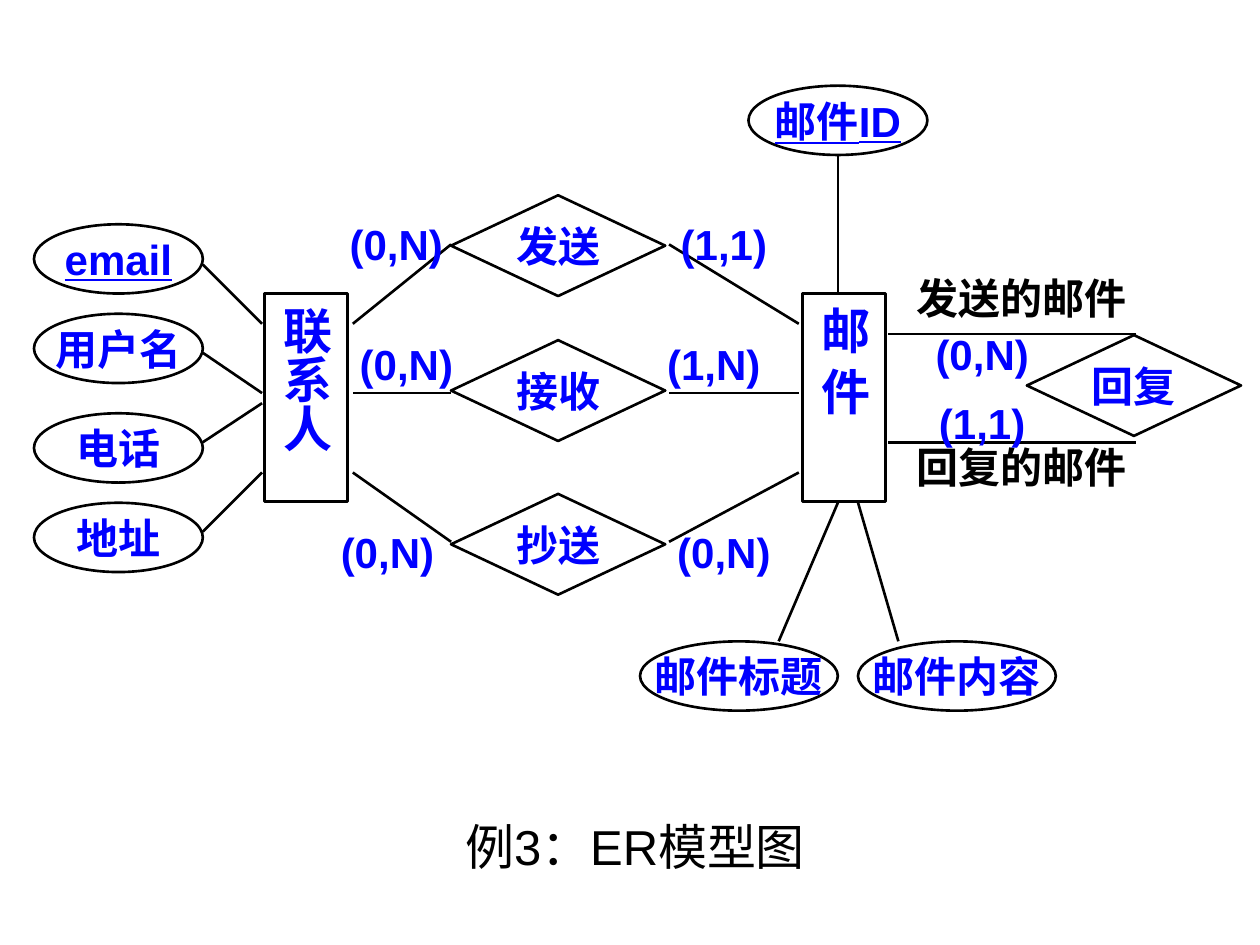
from lxml.etree import SubElement
from pptx import Presentation
from pptx.dml.color import RGBColor
from pptx.enum.shapes import MSO_CONNECTOR, MSO_SHAPE
from pptx.enum.text import MSO_ANCHOR, MSO_AUTO_SIZE, PP_ALIGN
from pptx.oxml.ns import qn
from pptx.util import Inches, Pt

COLORS = {"ink": "000000", "label": "0000FF"}
LATIN, HAN = "Arial", "Noto Sans CJK SC"
COLUMNS, ROWS = 100, 75


class Diagram:
    def __init__(self, deck):
        self.slide = deck.slides.add_slide(deck.slide_layouts[5])
        self.column = deck.slide_width / COLUMNS
        self.row = deck.slide_height / ROWS

    def place(self, left, top, width, height):
        return (round(left * self.column), round(top * self.row),
                round(width * self.column), round(height * self.row))

    def letter(self, shape, words, font=HAN, size=24, color="label", bold=True,
               underline=False, margins=(1, 0.5), wrap=False, anchor=MSO_ANCHOR.MIDDLE):
        across, down = (round(share * self.column) for share in margins)
        frame = shape.text_frame
        layout = {"margin_left": across, "margin_right": across,
                  "margin_top": down, "margin_bottom": down, "word_wrap": wrap,
                  "vertical_anchor": anchor, "auto_size": MSO_AUTO_SIZE.NONE}
        for name, value in layout.items():
            setattr(frame, name, value)
        paragraph = frame.paragraphs[0]
        paragraph.alignment = PP_ALIGN.CENTER
        run = paragraph.add_run()
        run.text = words
        style = {"name": font, "size": Pt(size), "bold": bold, "underline": underline}
        for name, value in style.items():
            setattr(run.font, name, value)
        run.font.color.rgb = RGBColor.from_string(COLORS[color])
        SubElement(run.font._element, qn("a:ea"), typeface=HAN)

    def outline(self, preset, box, weight=1.5):
        shape = self.slide.shapes.add_shape(preset, *self.place(*box))
        shape.shadow.inherit = False
        shape.fill.background()
        shape.line.color.rgb = RGBColor.from_string(COLORS["ink"])
        shape.line.width = Pt(weight)
        return shape

    def entity(self, words, left):
        shape = self.outline(MSO_SHAPE.RECTANGLE, (left, 23.3, 6.6, 16.5), 2)
        self.letter(shape, words, size=28, margins=(0.9, 1), wrap=True)
        shape.text_frame._txBody.bodyPr.set("vert", "eaVert")

    def attribute(self, words, left, top, width, **style):
        self.letter(self.outline(MSO_SHAPE.OVAL, (left, top, width, 5.5)), words, **style)

    def relationship(self, words, left, top):
        diamond = self.outline(MSO_SHAPE.DIAMOND, (left, top, 17, 8))
        self.letter(diamond, words, margins=(0, 0), wrap=True)

    def label(self, words, left, top, width=5.5, height=3.1, color="label"):
        box = self.slide.shapes.add_textbox(*self.place(left, top, width, height))
        self.letter(box, words, font=LATIN, color=color)

    def link(self, start, end):
        line = self.slide.shapes.add_connector(
            MSO_CONNECTOR.STRAIGHT, *self.place(*start, *end))
        line.line.color.rgb = RGBColor.from_string(COLORS["ink"])
        line.line.width = Pt(1.5)
        SubElement(line._element.spPr, qn("a:effectLst"))

    def caption(self, words):
        title = self.slide.shapes.title
        title.left, title.top, title.width, title.height = self.place(20.1, 64.3, 60.6, 5.7)
        self.letter(title, words, font=LATIN, size=28, color="ink", bold=False,
                    wrap=True, anchor=MSO_ANCHOR.TOP)


def main():
    deck = Presentation()
    deck.slide_width, deck.slide_height = Inches(10), Inches(7.5)
    diagram = Diagram(deck)
    key = {"font": LATIN, "underline": True}

    diagram.entity("联系人", 21)
    contact_attributes = [("email", 17.8, 21, 25.7, key), ("用户名", 24.9, 28, 31.2, {}),
                          ("电话", 32.8, 35.1, 32, {}), ("地址", 39.9, 42.2, 37.5, {})]
    for words, top, attribute_row, contact_row, style in contact_attributes:
        diagram.attribute(words, 2.7, top, 13.4, **style)
        diagram.link((16.1, attribute_row), (20.8, contact_row))

    diagram.entity("邮 件", 63.7)
    mail_attributes = [("邮件ID", 59.4, 6.8, 14.2, (66.5, 12.3), (66.5, 23.3), key),
                       ("邮件标题", 50.8, 50.9, 15.7, (61.8, 50.9), (66.5, 39.9), {}),
                       ("邮件内容", 68.1, 50.9, 15.7, (71.3, 50.9), (68.1, 39.9), {})]
    for words, left, top, width, start, end, style in mail_attributes:
        diagram.attribute(words, left, top, width, **style)
        diagram.link(start, end)

    relationships = [
        ("发送", 15.5, 19.4, 25.7, 17.8, ("(0,N)", 28.7), ("(1,1)", 54.7)),
        ("接收", 27, 31.2, 31.2, 27.3, ("(0,N)", 29.5), ("(1,N)", 53.9)),
        ("抄送", 39.2, 43, 37.5, 42.2, ("(0,N)", 28), ("(0,N)", 54.7)),
    ]
    for words, top, tip_row, entity_row, label_row, *limits in relationships:
        diagram.relationship(words, 35.8, top)
        for tip, edge in ((35.8, 28), (53.1, 63.4)):
            diagram.link((tip, tip_row), (edge, entity_row))
        for limit, left in limits:
            diagram.label(limit, left, label_row)

    diagram.relationship("回复", 81.5, 26.6)
    replies = [("发送的邮件", 21.7, 26.5, "(0,N)", 26.5),
               ("回复的邮件", 35.1, 35.1, "(1,1)", 32)]
    for role, role_row, link_row, limit, limit_row in replies:
        diagram.link((70.5, link_row), (90.2, link_row))
        diagram.label(role, 72.8, role_row, 16.5, 3.9, "ink")
        diagram.label(limit, 75.2, limit_row)

    diagram.caption("例3：ER模型图")
    deck.save("out.pptx")


if __name__ == "__main__":
    main()
